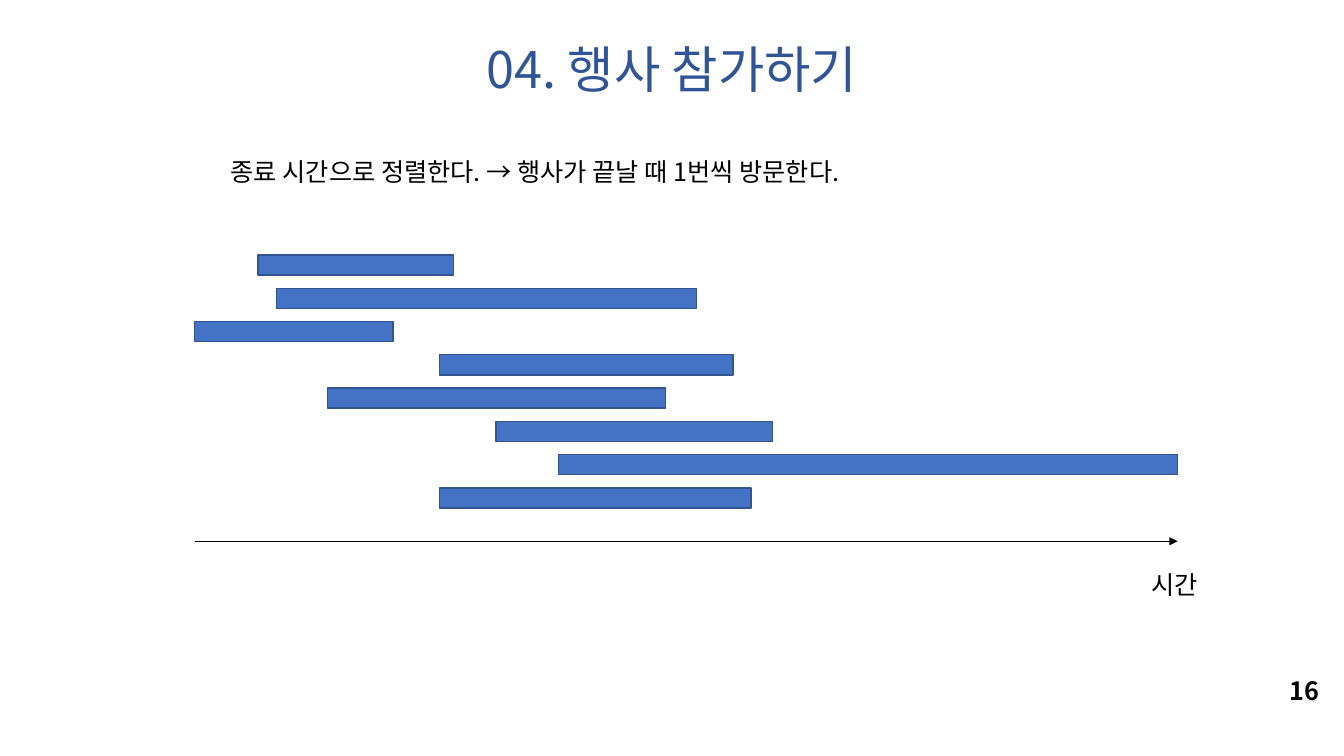
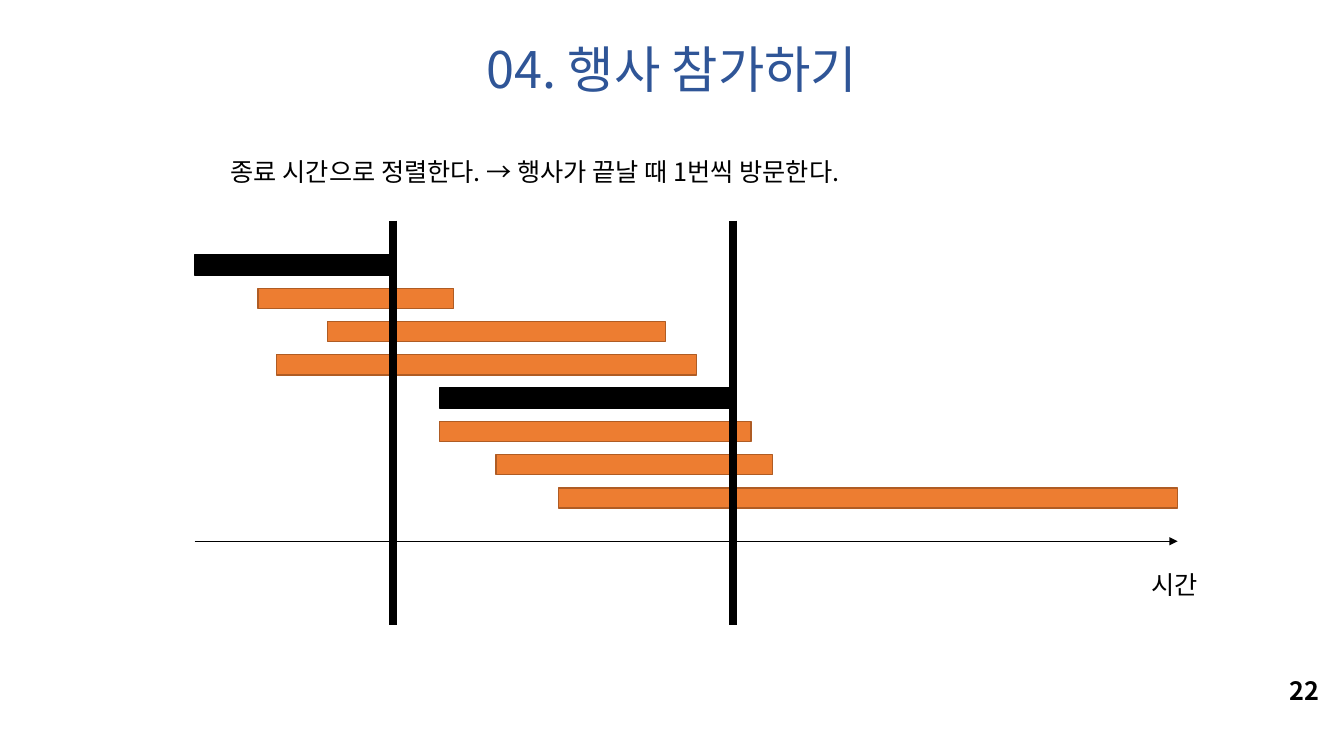
from collections import namedtuple

from lxml import etree
from pptx import Presentation
from pptx import util as u
from pptx.dml.color import RGBColor
from pptx.enum import shapes, text
from pptx.oxml import ns

FONT = "Noto Sans CJK KR"
BLACK = RGBColor(0x00, 0x00, 0x00)
TITLE_BLUE = RGBColor(0x2F, 0x55, 0x97)
BLUE = RGBColor(0x44, 0x72, 0xC4)
BLUE_EDGE = RGBColor(0x32, 0x54, 0x91)
ORANGE = RGBColor(0xED, 0x7D, 0x31)
ORANGE_EDGE = RGBColor(0xAF, 0x5C, 0x24)

Box = namedtuple("Box", "left top width height")
Event = namedtuple("Event", "start end")

SLIDE = Box(0, 0, 13.33, 7.5)
TIMELINE = Box(1.93, 2.19, 9.75, 4.01)
FIRST_ROW = 0.34
ROW_PITCH = 0.33
BAR_HEIGHT = 0.2
AXIS_OFFSET = 3.18

EVENTS = [
    Event(0.63, 2.57),
    Event(0.81, 4.98),
    Event(0, 1.97),
    Event(2.43, 5.34),
    Event(1.32, 4.67),
    Event(2.99, 5.73),
    Event(3.61, 9.75),
    Event(2.43, 5.52),
]


def add_label(slide, box, wording, size=18, color=BLACK, bold=False,
              wrap=False, align=None):
    label = slide.shapes.add_textbox(*map(u.Inches, box))
    frame = label.text_frame
    frame.word_wrap = wrap
    frame.auto_size = text.MSO_AUTO_SIZE.SHAPE_TO_FIT_TEXT
    paragraph = frame.paragraphs[0]
    paragraph.alignment = align
    run = paragraph.add_run()
    run.text = wording
    run.font.name = FONT
    run.font.size = u.Pt(size)
    run.font.bold = bold
    run.font.color.rgb = color
    east_asian = etree.SubElement(run.font._element, ns.qn("a:ea"))
    east_asian.set("typeface", FONT)


def add_line(slide, start, end, weight, arrow=False):
    line = slide.shapes.add_connector(
        shapes.MSO_CONNECTOR.STRAIGHT, *map(u.Inches, (*start, *end)))
    line.line.color.rgb = BLACK
    line.line.width = u.Pt(weight)
    if arrow:
        tail = etree.SubElement(line.line._get_or_add_ln(), ns.qn("a:tailEnd"))
        tail.set("type", "triangle")
    etree.SubElement(line._element.spPr, ns.qn("a:effectLst"))


def add_bar(slide, box, fill, edge):
    bar = slide.shapes.add_shape(
        shapes.MSO_SHAPE.RECTANGLE, *map(u.Inches, box))
    bar.shadow.inherit = False
    bar.fill.solid()
    bar.fill.fore_color.rgb = fill
    bar.line.color.rgb = edge
    bar.line.width = u.Pt(1)


def add_frame(slide, box, number):
    add_label(slide, Box(box.left, box.top + 0.33, box.width, 0.71),
              "04. 행사 참가하기", size=36, color=TITLE_BLUE, wrap=True,
              align=text.PP_ALIGN.CENTER)
    add_label(slide, Box(box.left + 2.19, box.top + 1.5, box.width - 2.19, 0.4),
              "종료 시간으로 정렬한다. → 행사가 끝날 때 1번씩 방문한다.", wrap=True)
    add_label(slide, Box(box.left + 12.69, box.top + 6.65, 0.53, 0.4),
              str(number), bold=True)


def add_timeline(slide, box, events, visited, fill, edge):
    axis_top = box.top + AXIS_OFFSET
    right = box.left + box.width
    add_line(slide, (box.left, axis_top), (right, axis_top), 0.5, arrow=True)
    add_label(slide, Box(right - 0.36, axis_top + 0.23, 0.71, 0.4), "시간")
    for row, event in enumerate(events):
        bar = Box(box.left + event.start, box.top + FIRST_ROW + row * ROW_PITCH,
                  event.end - event.start, BAR_HEIGHT)
        colors = (BLACK, BLACK) if event in visited else (fill, edge)
        add_bar(slide, bar, *colors)
    for event in visited:
        visit = box.left + event.end
        add_line(slide, (visit, box.top), (visit, box.top + box.height), 6)


def choose_visits(events):
    visited = []
    for event in events:
        if not visited or event.start > visited[-1].end:
            visited.append(event)
    return visited


def add_event_slide(deck, number, events, visited, fill, edge):
    slide = deck.slides.add_slide(deck.slide_layouts[6])
    add_frame(slide, SLIDE, number)
    add_timeline(slide, TIMELINE, events, visited, fill, edge)


def main():
    deck = Presentation()
    deck.slide_width = u.Inches(SLIDE.width)
    deck.slide_height = u.Inches(SLIDE.height)
    by_end = sorted(EVENTS, key=lambda event: event.end)
    add_event_slide(deck, 16, EVENTS, [], BLUE, BLUE_EDGE)
    add_event_slide(deck, 22, by_end, choose_visits(by_end), ORANGE, ORANGE_EDGE)
    deck.save("out.pptx")


if __name__ == "__main__":
    main()
